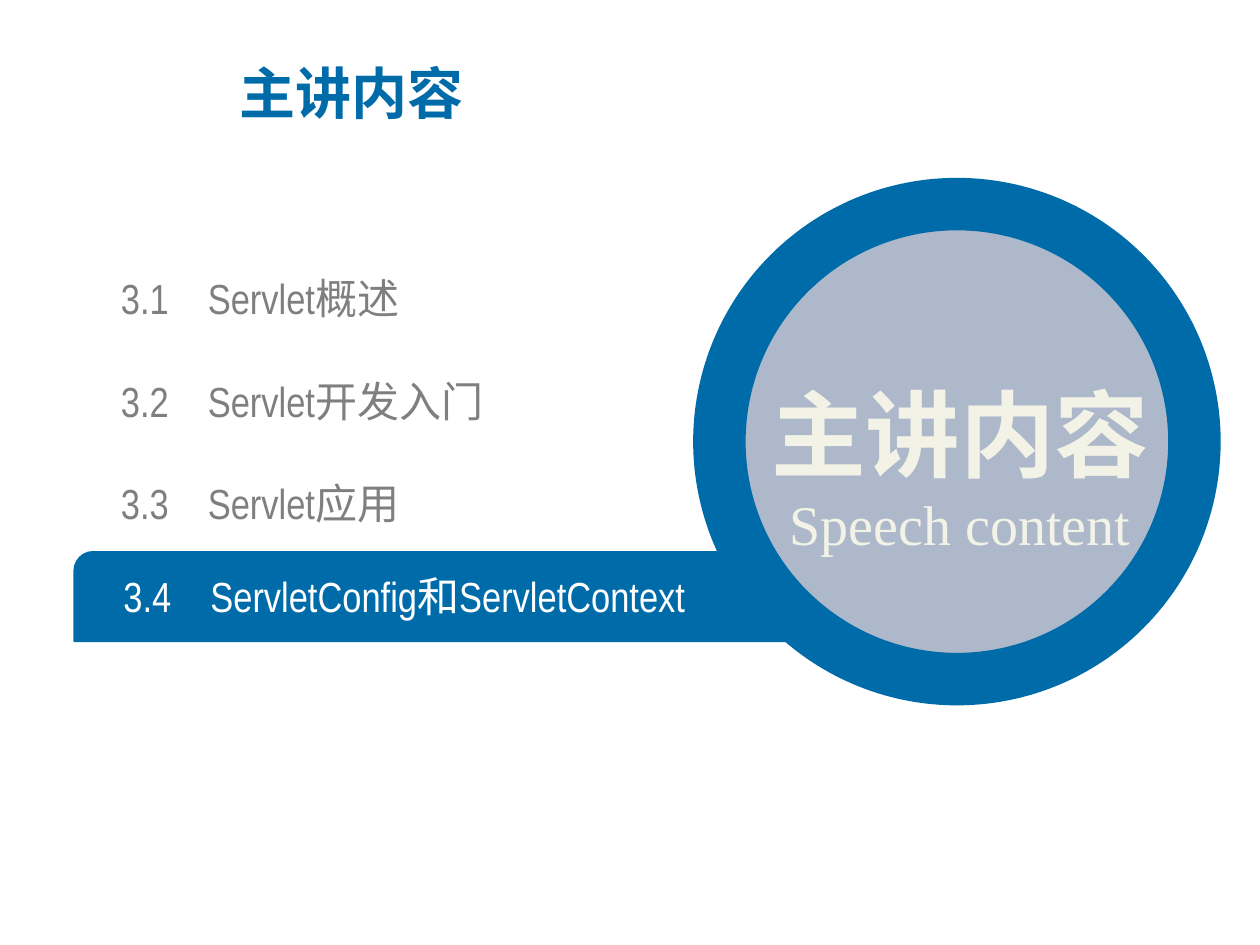
from lxml import etree
from pptx import Presentation
from pptx import util as u
from pptx.dml.color import RGBColor
from pptx.enum import shapes, text
from pptx.oxml.ns import qn

BLUE, GRAY, CREAM = "006BA9", "7F7F7F", "F2F2E6"
CJK = "Noto Sans CJK SC"


def color(value):
    return RGBColor.from_string(value)


def style(para, face, size, value, bold=False):
    font = para.font
    font.name, font.size, font.bold = face, u.Pt(size), bold
    font.color.rgb = color(value)
    defaults = para._p.pPr.find(qn("a:defRPr"))
    etree.SubElement(defaults, qn("a:ea")).set("typeface", CJK)


deck = Presentation()
deck.slide_width, deck.slide_height = u.Inches(10), u.Inches(7.5)
page = deck.slides.add_slide(deck.slide_layouts[5])

title = page.shapes.title
title.left, title.top = u.Inches(1.8), u.Inches(0.43)
title.width, title.height = u.Inches(6.83), u.Inches(0.61)
title.text_frame.text = "主讲内容"
title.text_frame.auto_size = text.MSO_AUTO_SIZE.NONE
title.text_frame.vertical_anchor = text.MSO_ANCHOR.MIDDLE
title.text_frame.paragraphs[0].alignment = text.PP_ALIGN.LEFT
style(title.text_frame.paragraphs[0], CJK, 32, BLUE, True)

for kind, left, top, width, height, fill, line in [
    (shapes.MSO_SHAPE.ROUND_2_DIAG_RECTANGLE, 0.59, 4.38, 6.06, 0.71, BLUE, 1),
    (shapes.MSO_SHAPE.OVAL, 5.71, 1.62, 3.77, 3.77, "ADB9CA", 30),
]:
    shape = page.shapes.add_shape(
        kind, u.Inches(left), u.Inches(top), u.Inches(width), u.Inches(height))
    shape.shadow.inherit = False
    shape.fill.solid()
    shape.fill.fore_color.rgb = color(fill)
    shape.line.color.rgb = color(BLUE)
    shape.line.width = u.Pt(line)
    if kind == shapes.MSO_SHAPE.ROUND_2_DIAG_RECTANGLE:
        shape.adjustments[0] = 0.21

for left, top, width, number, topic, value in [
    (0.96, 2.16, 4.19, "3.1", "Servlet概述", GRAY),
    (0.96, 2.98, 4.19, "3.2", "Servlet开发入门", GRAY),
    (0.96, 3.79, 4.19, "3.3", "Servlet应用", GRAY),
    (0.98, 4.53, 5.85, "3.4", "ServletConfig和ServletContext", "FFFFFF"),
]:
    box = page.shapes.add_textbox(
        u.Inches(left), u.Inches(top), u.Inches(width), u.Inches(0.4))
    frame = box.text_frame
    frame.word_wrap = True
    frame.vertical_anchor = text.MSO_ANCHOR.MIDDLE
    frame.margin_left = frame.margin_right = 0
    frame.margin_top = frame.margin_bottom = 0
    para = frame.paragraphs[0]
    para.text = f"{number}\t{topic}"
    style(para, "Arial Narrow", 24, value)
    indent = u.Inches(0.69)
    para._p.pPr.set("marL", str(indent))
    para._p.pPr.set("indent", str(-indent))

label = page.shapes.add_textbox(
    u.Inches(5.67), u.Inches(2.48), u.Inches(3.9), u.Inches(2))
frame = label.text_frame
frame.word_wrap = True
frame.vertical_anchor = text.MSO_ANCHOR.MIDDLE
heading, subtitle = frame.paragraphs[0], frame.add_paragraph()
heading.text, subtitle.text = "主讲内容", "Speech content"
heading.line_spacing = 1.5
heading.alignment = subtitle.alignment = text.PP_ALIGN.CENTER
style(heading, CJK, 54, CREAM, True)
style(subtitle, "Times New Roman", 32, CREAM)

deck.save("out.pptx")
